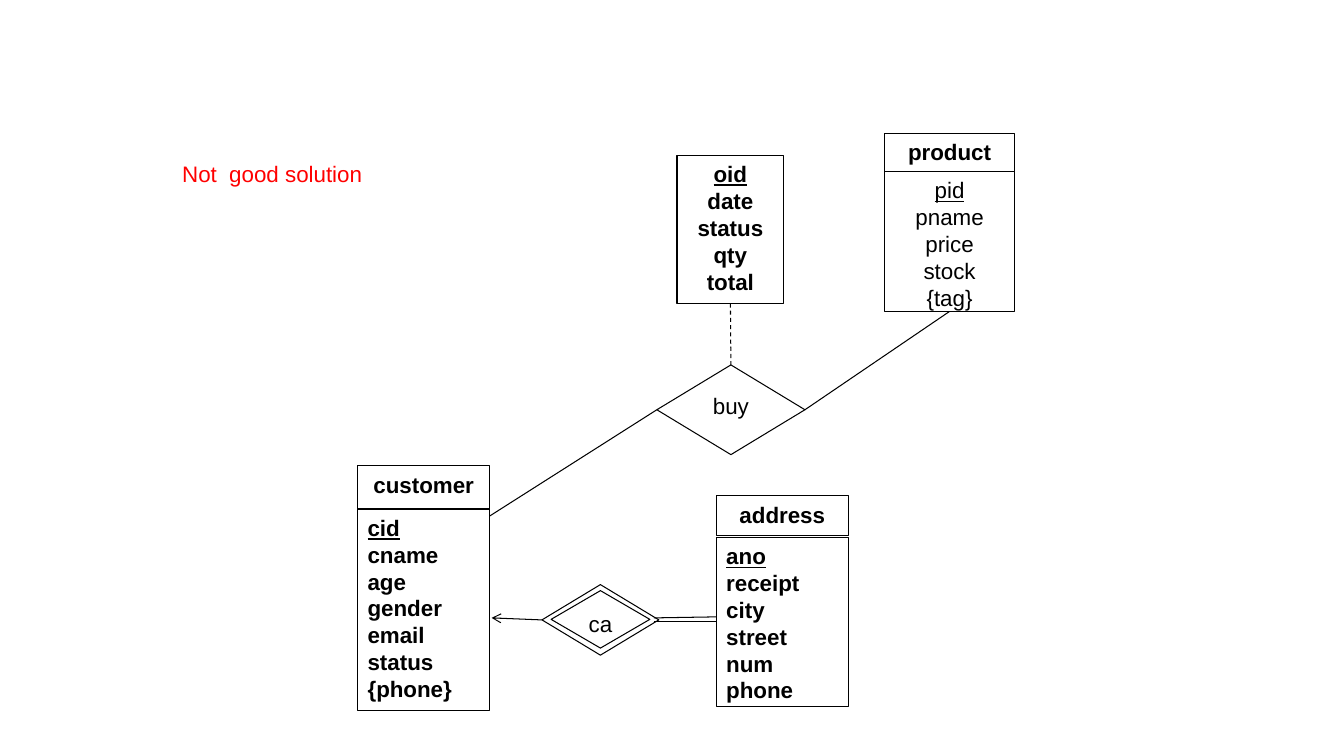
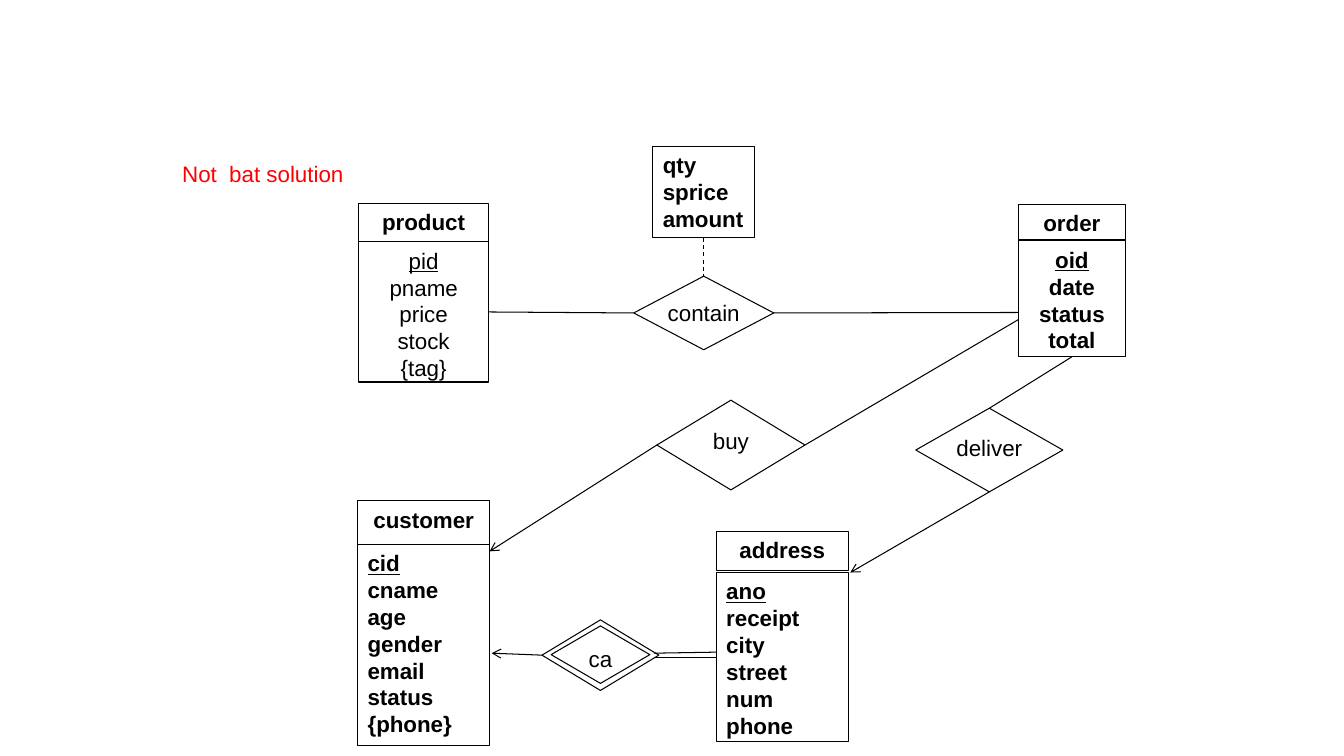
"""Build two entity-relationship diagrams of a shop database."""
from dataclasses import dataclass

from lxml import etree
from pptx import Presentation
from pptx.dml.color import RGBColor
from pptx.enum import dml, shapes, text
from pptx.oxml import ns
from pptx.util import Inches, Pt


@dataclass(frozen=True)
class Theme:
    """Colours, font and sizes shared by the slides."""
    ink: RGBColor = RGBColor(0, 0, 0)
    remark: RGBColor = RGBColor(255, 0, 0)
    font: str = "Arial"
    size: float = 16
    line: float = 0.75


THEME = Theme()
TOP, LEFT, BOTTOM, RIGHT = range(4)
CENTER, START = text.PP_ALIGN.CENTER, text.PP_ALIGN.LEFT


def write(sp, lines, color=THEME.ink, bold=False, key=False, align=CENTER, wrap=False):
    """Write one paragraph per line, underlining the first if it is a key."""
    tf = sp.text_frame
    tf.word_wrap = wrap
    tf.vertical_anchor = text.MSO_ANCHOR.TOP
    for i, line in enumerate(lines):
        p = tf.add_paragraph() if i else tf.paragraphs[0]
        p.alignment = align
        r = p.add_run()
        r.text = line
        r.font.name, r.font.size = THEME.font, Pt(THEME.size)
        r.font.bold, r.font.underline = bold, key and i == 0
        r.font.color.rgb = color


def outline(s, kind, x, y, w, h, lines=(), **fmt):
    """Add an unfilled outlined shape, with text if given."""
    sp = s.shapes.add_shape(kind, Inches(x), Inches(y), Inches(w), Inches(h))
    sp.shadow.inherit = False
    sp.fill.background()
    sp.line.color.rgb, sp.line.width = THEME.ink, Pt(THEME.line)
    if lines:
        write(sp, lines, **fmt)
    return sp


def box(s, x, y, w, h, lines, **fmt):
    """Add an attribute box."""
    return outline(s, shapes.MSO_SHAPE.RECTANGLE, x, y, w, h, lines, **fmt)


def diamond(s, x, y, w, h, *lines):
    """Add a relationship diamond."""
    return outline(s, shapes.MSO_SHAPE.DIAMOND, x, y, w, h, lines)


def entity(s, name, x, y, w, head, body, attributes, gap=0.0, **fmt):
    """Add a named header over an attribute box and return the latter."""
    box(s, x, y, w, head, [name], bold=True)
    return box(s, x, y + head + gap, w, body, attributes, key=True, **fmt)


def link(s, start, end, arrow=False, dashed=False):
    """Draw a line between ends given as (shape, side) or (x, y)."""
    cx = s.shapes.add_connector(shapes.MSO_CONNECTOR.STRAIGHT, 0, 0, 0, 0)
    if isinstance(start[0], (int, float)):
        cx.begin_x, cx.begin_y = map(Inches, start)
    else:
        cx.begin_connect(*start)
    if isinstance(end[0], (int, float)):
        cx.end_x, cx.end_y = map(Inches, end)
    else:
        cx.end_connect(*end)
    cx.line.color.rgb, cx.line.width = THEME.ink, Pt(THEME.line)
    if dashed:
        cx.line.dash_style = dml.MSO_LINE.DASH
    if arrow:
        etree.SubElement(cx.line._get_or_add_ln(), ns.qn("a:tailEnd"), type="arrow")
    etree.SubElement(cx._element.spPr, ns.qn("a:effectLst"))


def remark(s, line):
    """Add the red remark at the upper left."""
    sp = s.shapes.add_textbox(Inches(1.71), Inches(1.54), Inches(2.25), Inches(0.37))
    write(sp, [line], color=THEME.remark, align=START, wrap=True)
    sp.text_frame.auto_size = text.MSO_AUTO_SIZE.SHAPE_TO_FIT_TEXT


def product(s, x, y):
    """Add the product entity."""
    return entity(s, "product", x, y, 1.29, 0.38, 1.39,
                  ["pid", "pname", "price", "stock", "{tag}"])


def customer_address(s, y):
    """Add customer, address and their double-framed relationship from y down."""
    entity(s, "customer", 3.55, y, 1.31, 0.43, 2,
           ["cid", "cname", "age", "gender", "email", "status", "{phone}"],
           bold=True, align=START)
    address = entity(s, "address", 7.11, y + 0.3, 1.31, 0.39, 1.68,
                     ["ano", "receipt", "city", "street", "num", "phone"],
                     gap=0.02, bold=True, align=START)
    diamond(s, 5.47, y + 1.24, 0.98, 0.57, "ca")
    frame = diamond(s, 5.38, y + 1.18, 1.16, 0.7)
    link(s, (frame, LEFT), (4.88, y + 1.51), arrow=True)
    link(s, (6.49, y + 1.51), (7.11, y + 1.5))
    link(s, (6.49, y + 1.55), (address, LEFT))


def first_slide(s):
    """Draw the design without an order entity."""
    customer_address(s, 4.62)
    goods = product(s, 8.78, 1.32)
    buy = diamond(s, 6.52, 3.62, 1.47, 0.89, "buy")
    order = box(s, 6.72, 1.54, 1.06, 1.47,
                ["oid", "date", "status", "qty", "total"], bold=True, key=True)
    link(s, (buy, LEFT), (4.86, 5.12))
    link(s, (order, BOTTOM), (buy, TOP), dashed=True)
    link(s, (buy, RIGHT), (goods, BOTTOM))
    remark(s, "Not  good solution")


def second_slide(s):
    """Draw the design with an order entity."""
    customer_address(s, 4.97)
    goods = product(s, 3.56, 2.02)
    order = entity(s, "order", 10.11, 2.03, 1.06, 0.35, 1.15,
                   ["oid", "date", "status", "total"], gap=0.01, bold=True)
    details = box(s, 6.48, 1.45, 1.01, 0.91, ["qty", "sprice", "amount"],
                  bold=True, align=START)
    contain = diamond(s, 6.29, 2.74, 1.39, 0.73, "contain")
    buy = diamond(s, 6.52, 3.97, 1.47, 0.89, "buy")
    deliver = diamond(s, 9.09, 4.05, 1.46, 0.83, "deliver")
    link(s, (goods, RIGHT), (contain, LEFT))
    link(s, (contain, RIGHT), (10.11, 3.1))
    link(s, (details, BOTTOM), (contain, TOP), dashed=True)
    link(s, (buy, LEFT), (4.86, 5.47), arrow=True)
    link(s, (buy, RIGHT), (10.11, 3.17))
    link(s, (order, BOTTOM), (deliver, TOP))
    link(s, (deliver, BOTTOM), (8.44, 5.68), arrow=True)
    remark(s, "Not  bat solution")


def main():
    """Build and save the presentation."""
    prs = Presentation()
    prs.slide_width, prs.slide_height = Inches(13.34), Inches(7.5)
    for draw in (first_slide, second_slide):
        draw(prs.slides.add_slide(prs.slide_layouts[6]))
    prs.save("out.pptx")


if __name__ == "__main__":
    main()
